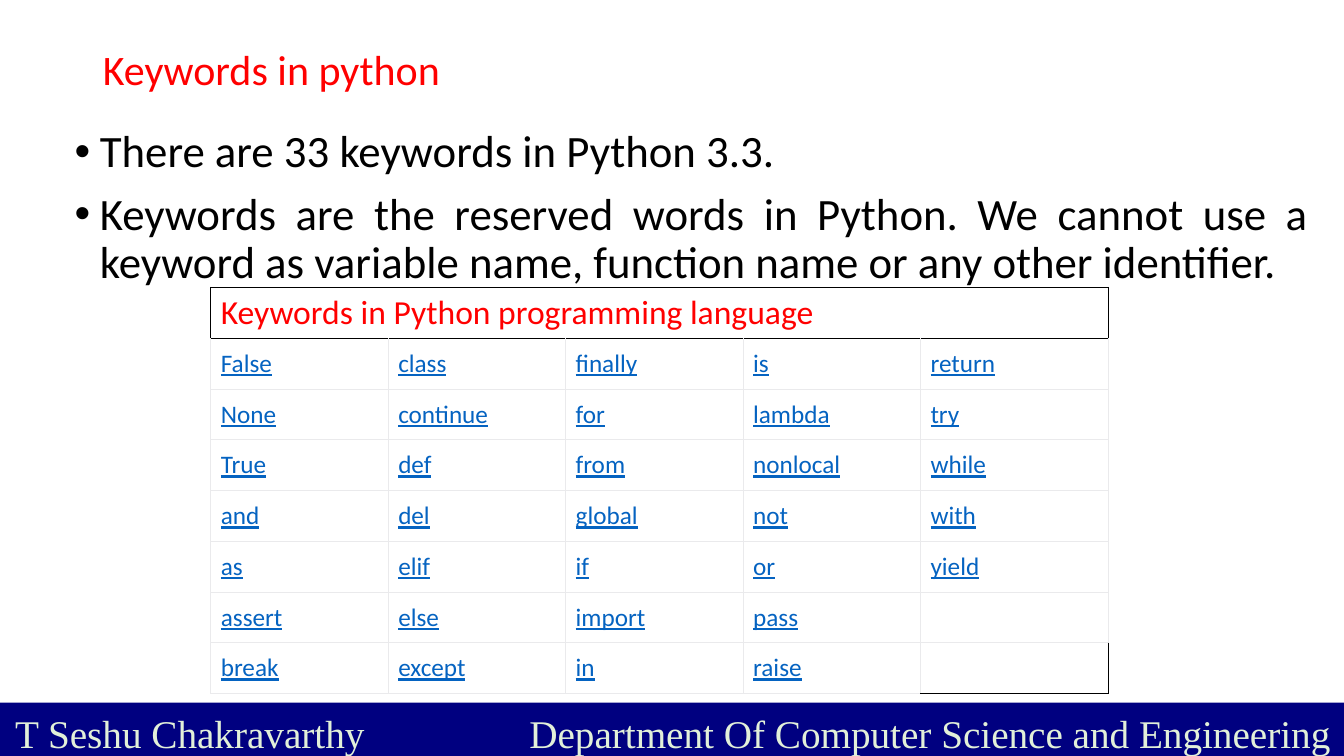
from lxml import etree
from pptx import Presentation
from pptx.dml.color import RGBColor
from pptx.enum.shapes import MSO_SHAPE
from pptx.enum.text import MSO_ANCHOR, MSO_AUTO_SIZE, PP_ALIGN
from pptx.oxml.ns import qn
from pptx.util import Inches, Pt

RECTANGLE = MSO_SHAPE.RECTANGLE
MIDDLE, BOTTOM = MSO_ANCHOR.MIDDLE, MSO_ANCHOR.BOTTOM
LEFT, JUSTIFY = PP_ALIGN.LEFT, PP_ALIGN.JUSTIFY
NO_AUTOFIT = MSO_AUTO_SIZE.NONE

COLORS = {
    "heading": "FF0000",
    "text": "000000",
    "keyword": "0563C1",
    "grid": "EAEAEC",
    "outline": "000000",
    "paper": "FFFFFF",
    "bar": "000080",
    "credit": "E2F0D9",
}
SANS, SERIF = "Calibri", "Times New Roman"
POINTS = [
    "There are 33 keywords in Python 3.3.",
    "Keywords are the reserved words in Python. We cannot use a keyword as "
    "variable name, function name or any other identifier.",
]
KEYWORDS = [
    ["False", "class", "finally", "is", "return"],
    ["None", "continue", "for", "lambda", "try"],
    ["True", "def", "from", "nonlocal", "while"],
    ["and", "del", "global", "not", "with"],
    ["as", "elif", "if", "or", "yield"],
    ["assert", "else", "import", "pass", ""],
    ["break", "except", "in", "raise", ""],
]


class KeywordSlide:
    def __init__(self, deck):
        self.slide = deck.slides.add_slide(deck.slide_layouts[1])

    def color(self, name):
        return RGBColor.from_string(COLORS[name])

    def style(self, paragraph, size, color, face=SANS):
        font = paragraph.font
        font.size, font.name = Pt(size), face
        font.color.rgb = self.color(color)

    def place(self, shape, left, top, width, height):
        shape.left, shape.top = Inches(left), Inches(top)
        shape.width, shape.height = Inches(width), Inches(height)
        shape.text_frame.auto_size = NO_AUTOFIT

    def title(self, text, *box):
        heading = self.slide.shapes.title
        self.place(heading, *box)
        heading.text_frame.text = text
        heading.text_frame.vertical_anchor = MIDDLE
        paragraph = heading.text_frame.paragraphs[0]
        paragraph.alignment, paragraph.line_spacing = LEFT, 0.9
        self.style(paragraph, 30, "heading")

    def bullets(self, points, *box):
        body = self.slide.placeholders[1]
        self.place(body, *box)
        body.text_frame.text = "\n".join(points)
        for index, paragraph in enumerate(body.text_frame.paragraphs):
            paragraph.alignment, paragraph.line_spacing = JUSTIFY, 0.9
            paragraph.space_before = Pt(10 if index else 0)
            props = paragraph._p.get_or_add_pPr()
            props.set("marL", str(Inches(0.25)))
            props.set("indent", str(-Inches(0.25)))
            etree.SubElement(props, qn("a:buFont"), typeface="Arial")
            etree.SubElement(props, qn("a:buChar"), char="•")
            self.style(paragraph, 32, "text")

    def footer(self, text, tab, *box):
        bar = self.slide.shapes.add_shape(RECTANGLE, *map(Inches, box))
        bar.shadow.inherit = False
        bar.fill.solid()
        bar.fill.fore_color.rgb = self.color("bar")
        bar.line.fill.background()
        frame = bar.text_frame
        frame.word_wrap, frame.vertical_anchor = True, BOTTOM
        frame.margin_left = Inches(0.15)
        frame.margin_right = frame.margin_top = frame.margin_bottom = 0
        frame.text = text
        paragraph = frame.paragraphs[0]
        paragraph.alignment = LEFT
        stops = etree.SubElement(paragraph._p.get_or_add_pPr(), qn("a:tabLst"))
        etree.SubElement(stops, qn("a:tab"), pos=str(Inches(tab)), algn="l")
        self.style(paragraph, 28, "credit", SERIF)

    def borders(self, cell, dark_sides):
        props = cell._tc.get_or_add_tcPr()
        for index, side in enumerate("LRTB"):
            line = etree.Element(qn(f"a:ln{side}"), w=str(Pt(0.75)))
            fill = etree.SubElement(line, qn("a:solidFill"))
            name = "outline" if side in dark_sides else "grid"
            etree.SubElement(fill, qn("a:srgbClr"), val=COLORS[name])
            props.insert(index, line)

    def cell(self, cell, text, size, color, dark_sides=""):
        cell.fill.solid()
        cell.fill.fore_color.rgb = self.color("paper")
        cell.vertical_anchor = MIDDLE
        cell.margin_left = cell.margin_right = Inches(0.1)
        cell.text = text
        self.style(cell.text_frame.paragraphs[0], size, color)
        self.borders(cell, dark_sides)

    def keyword_table(self, heading, keywords, widths, *box):
        rows, columns = len(keywords) + 1, len(widths)
        table = self.slide.shapes.add_table(rows, columns, *map(Inches, box)).table
        table.first_row = table.horz_banding = False
        for column, width in zip(table.columns, widths):
            column.width = Inches(width)
        for row in table.rows:
            row.height = Inches(box[3] / rows)
        table.cell(0, 0).merge(table.cell(0, columns - 1))
        for c in range(columns):
            self.cell(table.cell(0, c), "" if c else heading, 24, "heading", "LRTB")
        for r, words in enumerate(keywords, 1):
            for c, word in enumerate(words):
                last = (r, c) == (rows - 1, columns - 1)
                dark_sides = "RB" if last else "T" if r == 1 else ""
                keyword = table.cell(r, c)
                self.cell(keyword, word, 18, "keyword", dark_sides)
                keyword.text_frame.paragraphs[0].font.underline = True


def main():
    deck = Presentation()
    deck.slide_width, deck.slide_height = Inches(13.33), Inches(7.5)
    page = KeywordSlide(deck)
    page.title("Keywords in python", 0.92, 0.3, 11.5, 0.83)
    page.bullets(POINTS, 0.64, 1.23, 12.44, 5.76)
    page.footer(
        "T Seshu Chakravarthy\tDepartment Of Computer Science and Engineering",
        5.1, 0, 6.97, 13.33, 0.53,
    )
    page.keyword_table(
        "Keywords in Python programming language", KEYWORDS,
        [1.76] * 4 + [1.86], 2.09, 2.85, 8.9, 4.03,
    )
    deck.save("out.pptx")


if __name__ == "__main__":
    main()
